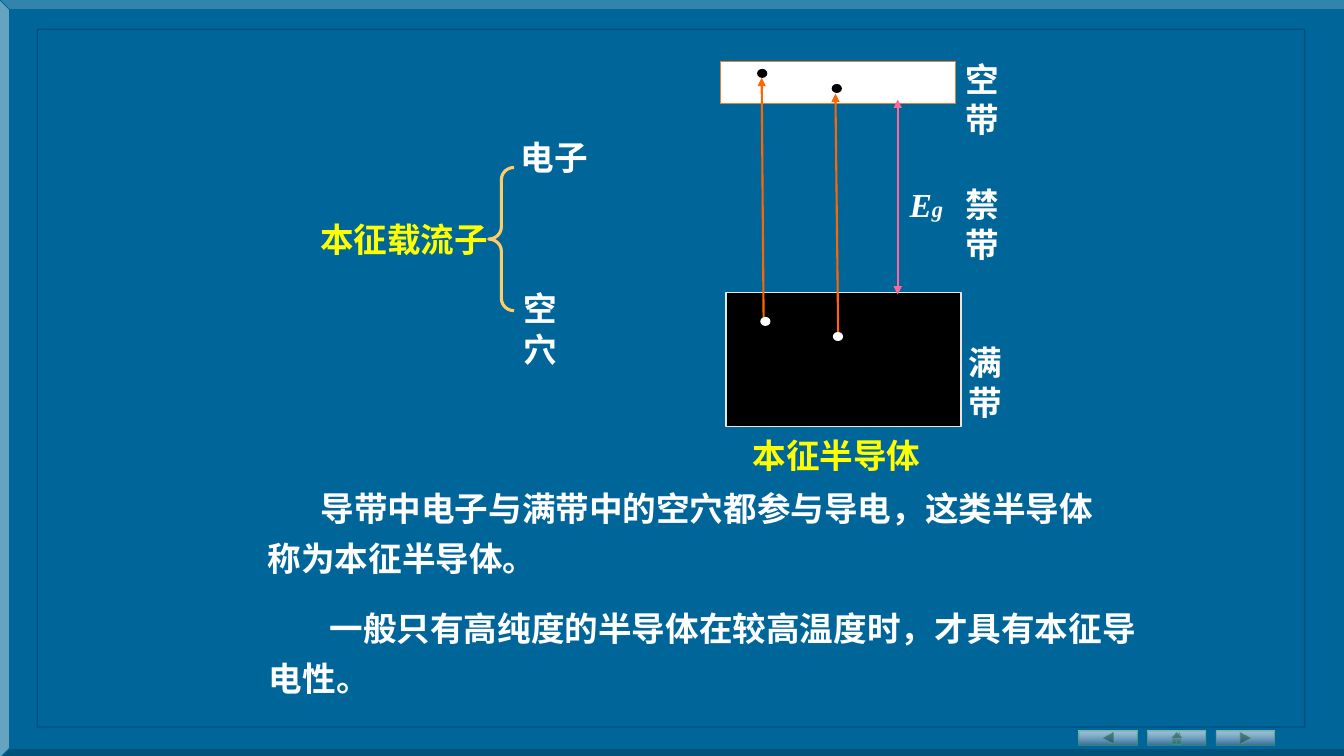
from dataclasses import dataclass

from lxml.etree import SubElement
from pptx import Presentation
from pptx.dml.color import RGBColor
from pptx.enum.shapes import MSO_CONNECTOR, MSO_SHAPE
from pptx.oxml.ns import qn
from pptx.util import Cm, Pt

FONT = "Times New Roman"
WHITE, BLACK, YELLOW = "FFFFFF", "000000", "FFFF00"
ORANGE, PINK = "FF6600", "FF6699"


@dataclass
class Label:
    text: str
    left: float
    top: float
    width: float = 2.18
    height: float = 1.27
    color: str = WHITE
    wrap: bool = False
    spacing: float = 1.0
    indent: float = 0.0


@dataclass
class Arrow:
    start: tuple[float, float]
    end: tuple[float, float]
    color: str
    ends: tuple[str, ...] = ("tailEnd",)


@dataclass
class Dot:
    left: float
    top: float
    color: str


LABELS = [
    Label("一般只有高纯度的半导体在较高温度时，才具有本征导电性。", 6.53, 14.94,
          22.4, 2.79, wrap=True, spacing=1.25, indent=1.53),
    Label("导带中电子与满带中的空穴都参与导电，这类半导体称为本征半导体。", 6.5, 11.91,
          21.79, 2.79, wrap=True, spacing=1.25, indent=1.33),
    Label("电子", 12.88, 3.33, 2.26, wrap=True),
    Label("空穴", 12.95, 7.14),
    Label("本征载流子", 7.82, 5.38, 4.9, color=YELLOW, wrap=True),
    Label("满带", 24.16, 8.48),
    Label("空带", 24.08, 1.35),
    Label("禁带", 24.08, 4.5),
    Label("本征半导体", 18.72, 10.59, 5.03, 1.52, YELLOW, wrap=True, spacing=1.25),
]
ARROWS = [
    Arrow((22.63, 2.51), (22.63, 7.42), PINK, ("headEnd", "tailEnd")),
    Arrow((19.25, 8.13), (19.2, 1.96), ORANGE),
    Arrow((21.13, 8.53), (21.06, 2.36), ORANGE),
]
DOTS = [
    Dot(19.1, 1.75, BLACK), Dot(20.98, 2.13, BLACK),
    Dot(21.01, 8.38, WHITE), Dot(19.18, 8.0, WHITE),
]
BUTTONS = [
    MSO_SHAPE.ACTION_BUTTON_BACK_OR_PREVIOUS,
    MSO_SHAPE.ACTION_BUTTON_HOME,
    MSO_SHAPE.ACTION_BUTTON_FORWARD_OR_NEXT,
]


def set_color(target, color: str, opacity: int = 100) -> None:
    target.rgb = RGBColor.from_string(color)


def set_opacity(parent, percent: int) -> None:
    for color in parent.iter(qn("a:srgbClr")):
        SubElement(color, qn("a:alpha")).set("val", str(percent * 1000))


def add_shape(page, kind, left: float, top: float, width: float, height: float,
              line: str, weight: float = 0.75, fill: str | None = None):
    shape = page.shapes.add_shape(kind, Cm(left), Cm(top), Cm(width), Cm(height))
    shape.shadow.inherit = False
    if fill:
        shape.fill.solid()
        set_color(shape.fill.fore_color, fill)
    else:
        shape.fill.background()
    set_color(shape.line.color, line)
    shape.line.width = Pt(weight)
    return shape


def add_button(page, kind, left: float) -> None:
    button = add_shape(page, kind, left, 18.42, 1.47, 0.36, "339966", 0)
    set_opacity(button.line._get_or_add_ln(), 52)
    button.fill.gradient()
    button.fill.gradient_angle = 270
    stops = button.fill.gradient_stops
    for stop, color, percent in zip(stops, (WHITE, "336699"), (62, 89)):
        set_color(stop.color, color)
        set_opacity(stop._gs, percent)


def add_arrow(page, arrow: Arrow) -> None:
    line = page.shapes.add_connector(
        MSO_CONNECTOR.STRAIGHT, *(Cm(value) for value in arrow.start + arrow.end))
    set_color(line.line.color, arrow.color)
    line.line.width = Pt(1.5)
    for end in arrow.ends:
        SubElement(line.line._get_or_add_ln(), qn(f"a:{end}")).set("type", "triangle")
    SubElement(line._element.spPr, qn("a:effectLst"))


def add_span(para, text: str, color: str = WHITE, size: int = 24,
             italic: bool = False) -> None:
    span = para.add_run()
    span.text = text
    span.font.name = FONT
    span.font.size = Pt(size)
    span.font.bold = True
    span.font.italic = italic
    set_color(span.font.color, color)


def add_box(page, left: float, top: float, width: float, height: float, wrap: bool):
    box = page.shapes.add_textbox(Cm(left), Cm(top), Cm(width), Cm(height))
    box.text_frame.word_wrap = wrap
    return box.text_frame.paragraphs[0]


def add_label(page, label: Label) -> None:
    para = add_box(page, label.left, label.top, label.width, label.height, label.wrap)
    para.line_spacing = label.spacing
    if label.indent:
        para._p.get_or_add_pPr().set("indent", str(Cm(label.indent)))
    add_span(para, label.text, label.color)


def main() -> None:
    deck = Presentation()
    deck.slide_width, deck.slide_height = Cm(33.88), Cm(19.05)
    page = deck.slides.add_slide(deck.slide_layouts[6])

    # Background panel, inner frame and navigation buttons
    panel = add_shape(page, MSO_SHAPE.BEVEL, 0, 0, 34.21, 19.1, "006699", fill="006699")
    panel.adjustments[0] = 0.013
    frame = add_shape(page, MSO_SHAPE.RECTANGLE, 0.94, 0.74, 31.95, 17.58, "003366", 1)
    set_opacity(frame.line._get_or_add_ln(), 50)
    for index, kind in enumerate(BUTTONS):
        add_button(page, kind, 27.2 + 1.73 * index)

    # Carrier brace
    brace = add_shape(page, MSO_SHAPE.LEFT_BRACE, 12.32, 4.22, 0.64, 3.61, "FFCC66", 2.25)
    brace.adjustments[0] = 0.48

    # Band diagram: filled band, empty band, transitions and carriers
    add_shape(page, MSO_SHAPE.RECTANGLE, 18.31, 7.37, 5.92, 3.38, "E7E6E6", 1.25, BLACK)
    add_shape(page, MSO_SHAPE.RECTANGLE, 18.16, 1.55, 5.92, 1.07, "ED7D31", 0.75, WHITE)
    for arrow in ARROWS:
        add_arrow(page, arrow)
    for dot in DOTS:
        add_shape(page, MSO_SHAPE.OVAL, dot.left, dot.top, 0.23, 0.2, dot.color,
                  fill=dot.color)

    # Text
    for label in LABELS:
        add_label(page, label)
    gap = add_box(page, 22.68, 4.5, 1.35, 1.27, False)
    add_span(gap, "E", italic=True)
    add_span(gap, "g", size=16, italic=True)

    deck.save("out.pptx")


if __name__ == "__main__":
    main()
